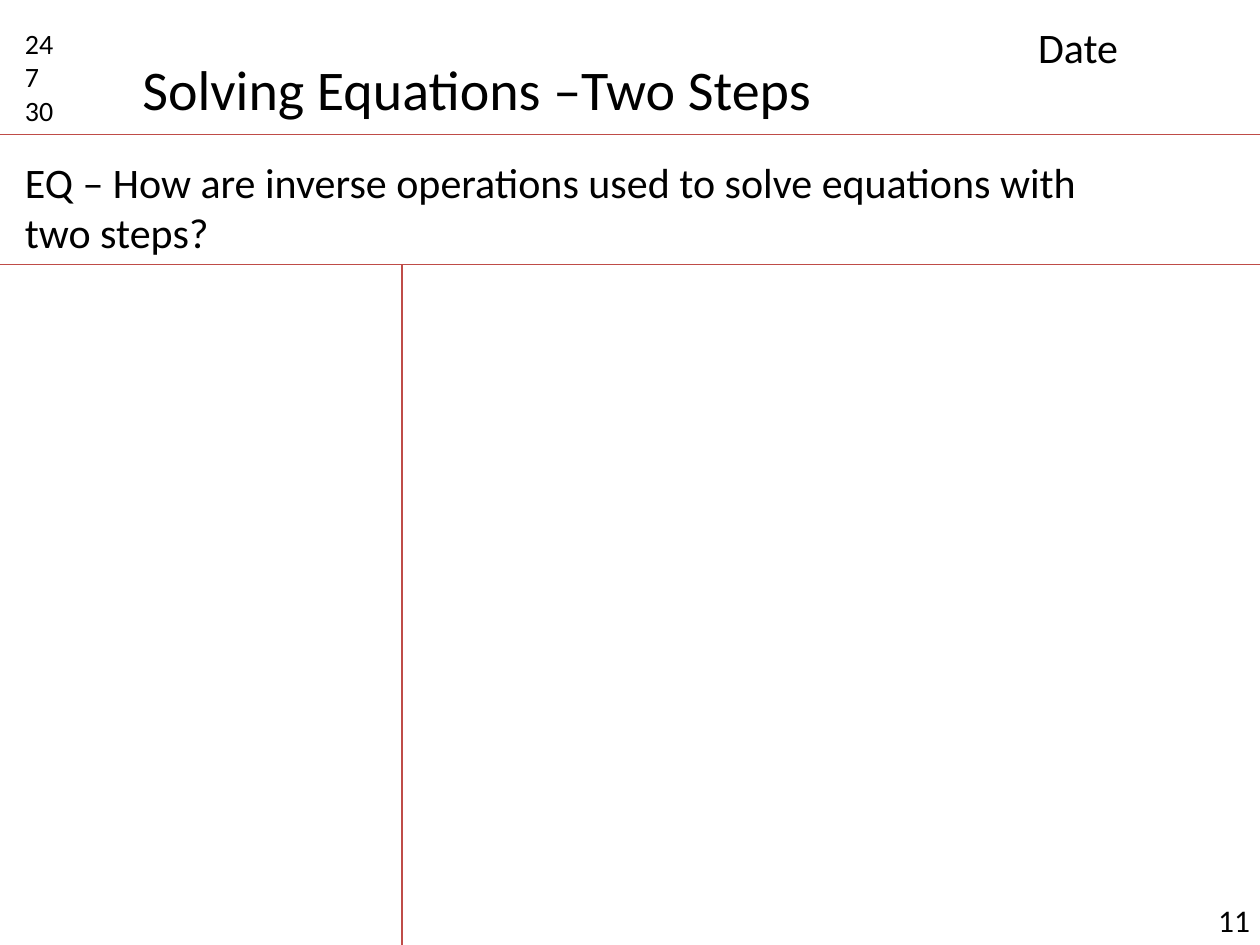
import pptx
import pptx.util
import pptx.dml.color
import pptx.enum.shapes
import pptx.enum.text
import pptx.oxml.ns
import lxml.etree

WIDTH, HEIGHT = 10, 7.5
HEADER_ROW, NOTES_ROW = 1.07, 2.1
NOTES_COLUMN = 3.19
MARGIN = 0.1
INK, RULE = "000000", "BF4C48"


def color(value):
    return pptx.dml.color.RGBColor.from_string(value)


def apply_format(target, values):
    for name, value in values.items():
        setattr(target, name, value)


def write_text(shape, lines, size, wrap=True):
    frame = shape.text_frame
    frame.text = "\n".join(lines)
    apply_format(frame, {
        "word_wrap": wrap,
        "auto_size": pptx.enum.text.MSO_AUTO_SIZE.SHAPE_TO_FIT_TEXT,
        "vertical_anchor": pptx.enum.text.MSO_ANCHOR.TOP,
    })
    for paragraph in frame.paragraphs:
        paragraph.alignment = pptx.enum.text.PP_ALIGN.LEFT
        apply_format(paragraph.font, {"name": "Calibri", "size": pptx.util.Pt(size)})
        paragraph.font.color.rgb = color(INK)


def add_label(slide, box, lines, size):
    shape = slide.shapes.add_textbox(*map(pptx.util.Inches, box))
    write_text(shape, lines, size)


def add_title(slide, box, text, size):
    title = slide.shapes.title
    names = ("left", "top", "width", "height")
    apply_format(title, dict(zip(names, map(pptx.util.Inches, box))))
    write_text(title, [text], size, wrap=False)


def add_rule(slide, start, end):
    rule = slide.shapes.add_connector(
        pptx.enum.shapes.MSO_CONNECTOR.STRAIGHT,
        *map(pptx.util.Inches, start + end))
    rule.line.color.rgb = color(RULE)
    rule.line.width = pptx.util.Pt(0.75)
    lxml.etree.SubElement(rule._element.spPr, pptx.oxml.ns.qn("a:effectLst"))


def main():
    presentation = pptx.Presentation()
    apply_format(presentation, {
        "slide_width": pptx.util.Inches(WIDTH),
        "slide_height": pptx.util.Inches(HEIGHT),
    })
    slide = presentation.slides.add_slide(presentation.slide_layouts[5])

    add_label(slide, (9.57, 7.1, 0.6, 0.4), ["11"], 18)
    for row in (HEADER_ROW, NOTES_ROW):
        add_rule(slide, (0, row), (WIDTH, row))
    add_rule(slide, (NOTES_COLUMN, NOTES_ROW), (NOTES_COLUMN, HEIGHT))

    add_label(slide, (MARGIN, 0.16, 0.63, 0.91), ["24", "7", "30"], 16)
    add_label(slide, (8.14, 0.12, 1.73, 0.5), ["Date"], 24)
    question = "EQ – How are inverse operations used to solve equations with two steps?"
    add_label(slide, (MARGIN, 1.19, 8.9, 0.91), [question], 24)
    add_title(slide, (1.03, 0.38, 5.57, 0.64), "Solving Equations –Two Steps", 32)

    presentation.save("out.pptx")


if __name__ == "__main__":
    main()
